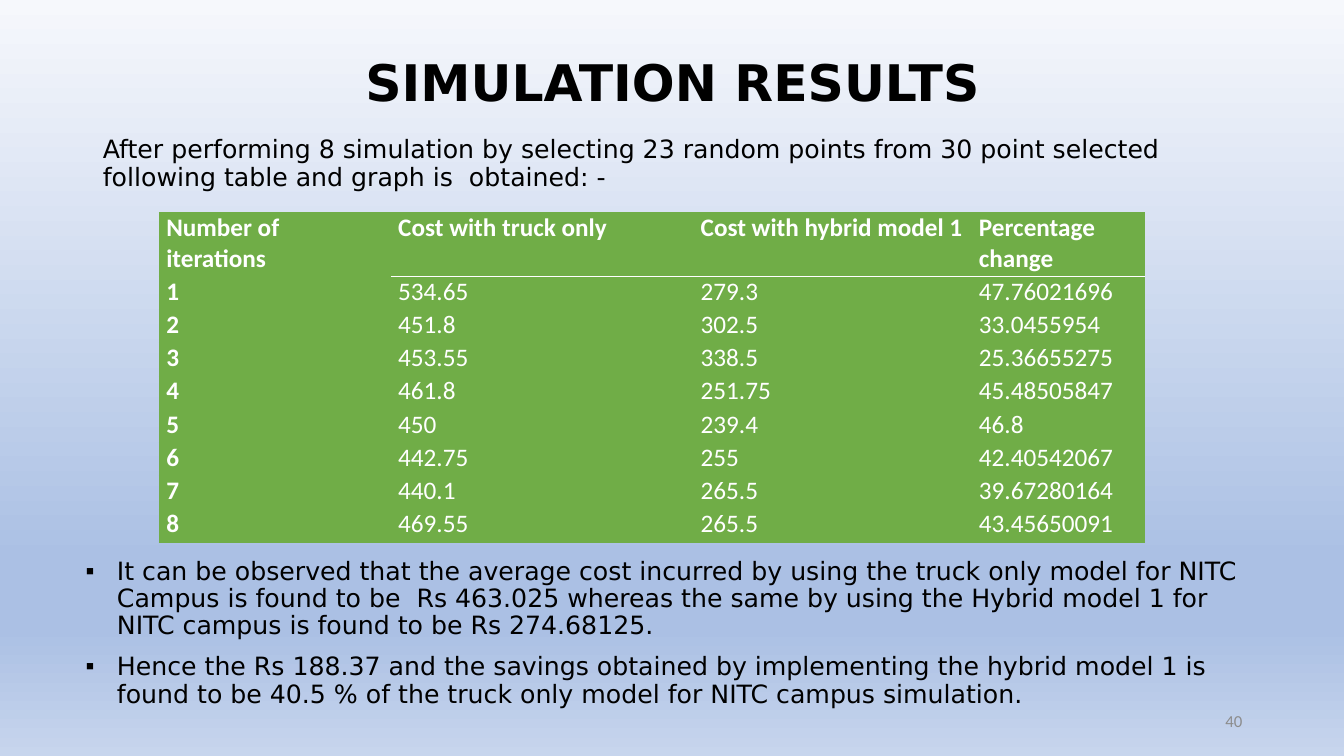
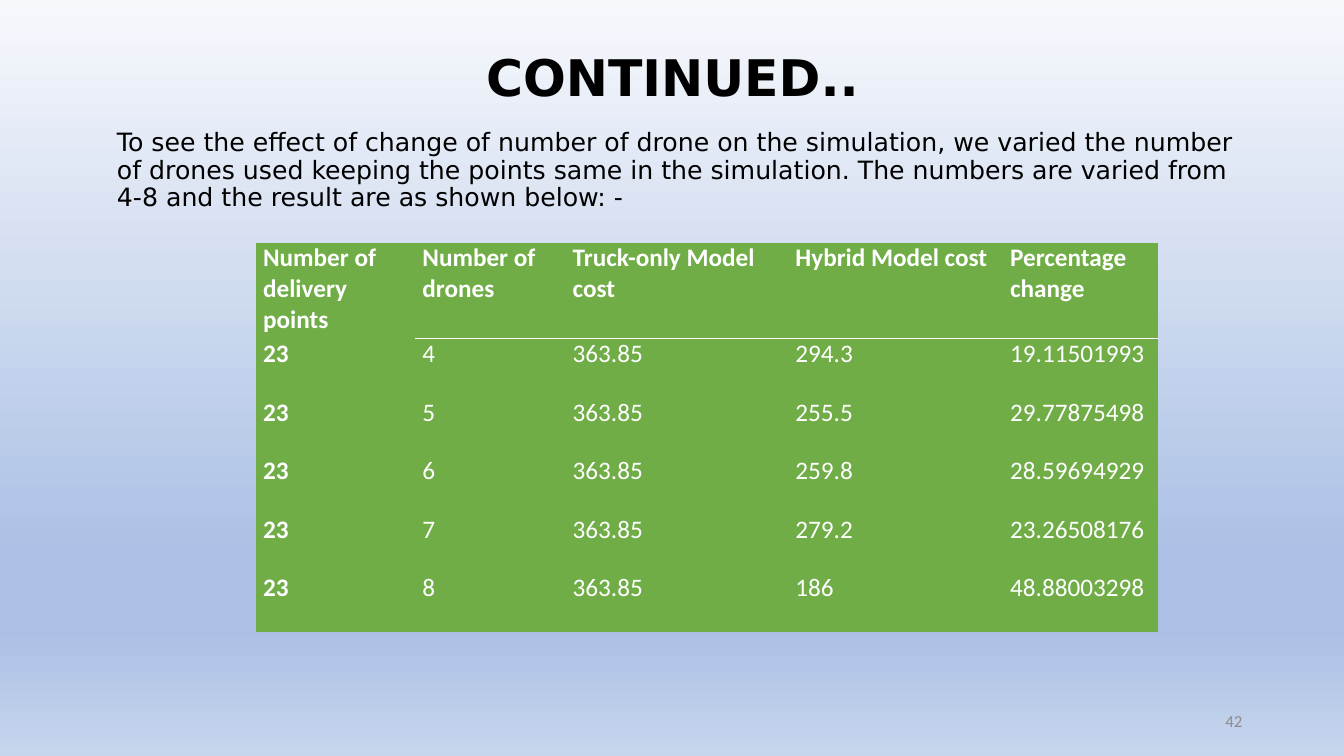
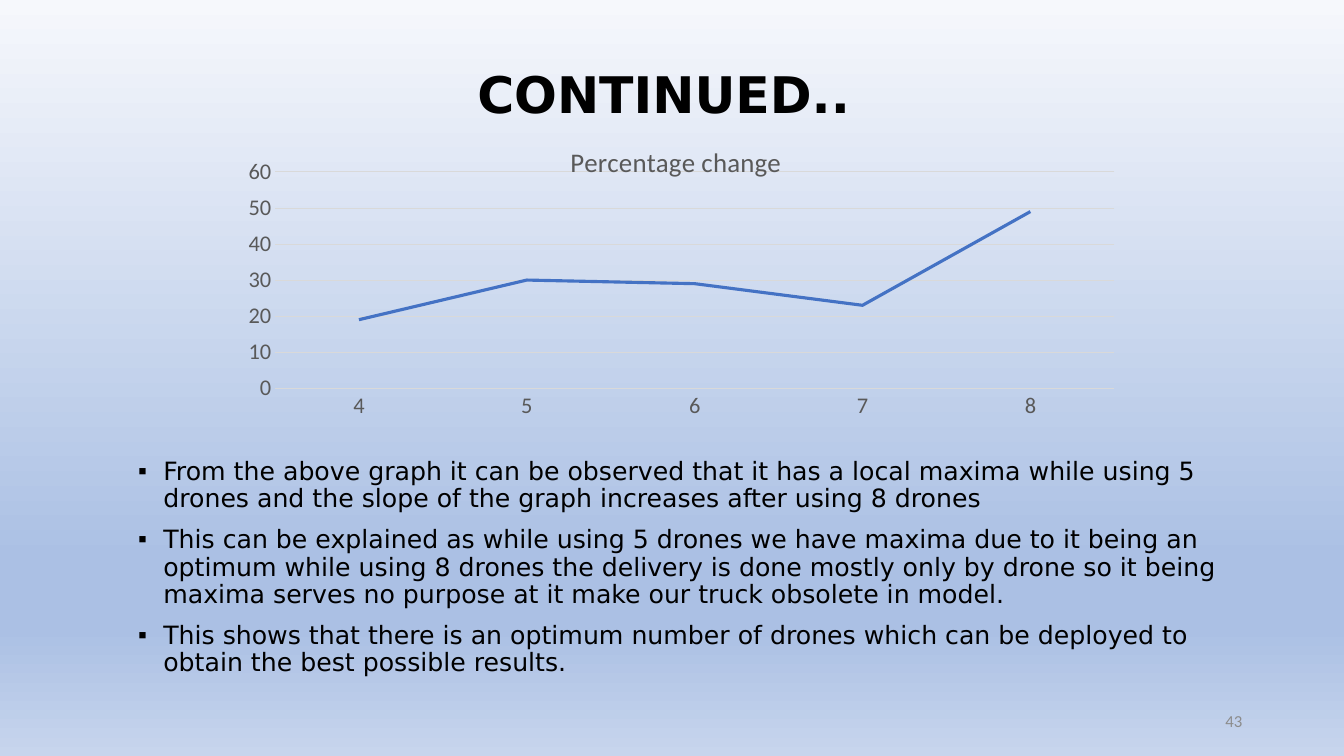
import lxml.etree
import pptx
import pptx.chart.data
import pptx.dml.color
import pptx.enum.chart
import pptx.enum.text
import pptx.oxml.ns
import pptx.util

Inches = pptx.util.Inches
Pt = pptx.util.Pt
qn = pptx.oxml.ns.qn

COLOURS = {
    "text": "000000",
    "number": "8C8C8C",
    "table": "70AD47",
    "table_text": "FFFFFF",
    "series": "4472C4",
    "chart_text": "595959",
    "grid": "D9D9D9",
}
BACKGROUND_STOPS = [(0, "F6F8FC"), (74, "ABC0E4"), (83, "ABC0E4"), (100, "C7D5ED")]
TEXT_FONT = "DejaVu Sans"
DATA_FONT = "Calibri"
ONE_CONTENT, TWO_CONTENTS = 1, 3


def rgb(name):
    return pptx.dml.color.RGBColor.from_string(COLOURS[name])


def add_element(parent, tag, **attributes):
    return lxml.etree.SubElement(parent, qn(tag), attributes)


class Deck:
    def __init__(self):
        self.presentation = pptx.Presentation()
        self.presentation.slide_width = Inches(13.33)
        self.presentation.slide_height = Inches(7.5)
        self.slide = None
        self.style_background()

    def style_background(self):
        master = self.presentation.slide_master
        fill = master.background.fill
        fill.gradient()
        fill.gradient_angle = 270
        stops = next(master.element.iter(qn("a:gsLst")))
        for stop in list(stops):
            stops.remove(stop)
        for percent, colour in BACKGROUND_STOPS:
            stop = add_element(stops, "a:gs", pos=str(percent * 1000))
            add_element(stop, "a:srgbClr", val=colour)

    def style_font(self, font, size, colour, name=DATA_FONT, bold=False):
        font.size = Pt(size)
        font.name = name
        font.bold = bold
        font.color.rgb = rgb(colour)

    def add_run(self, paragraph, text, *style, **options):
        run = paragraph.add_run()
        run.text = text
        self.style_font(run.font, *style, **options)

    def place(self, shape, left, top, width, height):
        shape.left, shape.top = Inches(left), Inches(top)
        shape.width, shape.height = Inches(width), Inches(height)
        shape.text_frame.word_wrap = True
        shape.text_frame.auto_size = pptx.enum.text.MSO_AUTO_SIZE.NONE

    def add_slide(self, title, title_height, number, layout=ONE_CONTENT):
        layouts = self.presentation.slide_layouts
        self.slide = self.presentation.slides.add_slide(layouts[layout])
        shape = self.slide.shapes.title
        self.place(shape, 0.92, 0.4, 11.5, title_height)
        shape.text_frame.vertical_anchor = pptx.enum.text.MSO_ANCHOR.MIDDLE
        paragraph = shape.text_frame.paragraphs[0]
        paragraph.alignment = pptx.enum.text.PP_ALIGN.CENTER
        paragraph.line_spacing = 0.9
        self.add_run(paragraph, title, 36, "text", name=TEXT_FONT, bold=True)
        self.add_number(number)

    def add_number(self, number):
        box = (9.42, 6.95, 3, 0.4)
        shape = self.slide.shapes.add_textbox(*map(Inches, box))
        self.place(shape, *box)
        shape.text_frame.vertical_anchor = pptx.enum.text.MSO_ANCHOR.MIDDLE
        paragraph = shape.text_frame.paragraphs[0]
        paragraph.alignment = pptx.enum.text.PP_ALIGN.RIGHT
        self.add_run(paragraph, str(number), 12, "number")

    def fill_body(self, box, texts, indent=0, placeholder=1):
        shape = self.slide.placeholders[placeholder]
        self.place(shape, *box)
        frame = shape.text_frame
        for index, text in enumerate(texts):
            paragraph = frame.add_paragraph() if index else frame.paragraphs[0]
            properties = paragraph._p.get_or_add_pPr()
            properties.set("marL", str(Inches(indent)))
            properties.set("indent", str(-Inches(indent)))
            if indent:
                add_element(properties, "a:buChar", char="▪")
            else:
                add_element(properties, "a:buNone")
            paragraph.line_spacing = 0.9
            paragraph.space_before = Pt(10 if index else 0)
            self.add_run(paragraph, text, 18, "text", name=TEXT_FONT)

    def set_border(self, cell, position, side, colour, width):
        line = lxml.etree.Element(qn("a:ln" + side), {"w": str(Pt(width))})
        fill = add_element(line, "a:solidFill")
        add_element(fill, "a:srgbClr", val=COLOURS[colour])
        cell._tc.get_or_add_tcPr().insert(position, line)

    def add_table(self, left, top, widths, heights, rows):
        frame = self.slide.shapes.add_table(
            len(rows), len(widths), Inches(left), Inches(top),
            Inches(sum(widths)), Inches(sum(heights)))
        table = frame.table
        table.horz_banding = False
        for column, width in zip(table.columns, widths):
            column.width = Inches(width)
        for row, height in zip(table.rows, heights):
            row.height = Inches(height)
        for row_index, values in enumerate(rows):
            for column_index, value in enumerate(values):
                self.fill_cell(table, row_index, column_index, value)

    def fill_cell(self, table, row, column, value):
        cell = table.cell(row, column)
        cell.margin_left = cell.margin_right = Inches(0.07)
        cell.margin_top = cell.margin_bottom = 0
        cell.fill.solid()
        cell.fill.fore_color.rgb = rgb("table")
        for position, side in enumerate("LRTB"):
            ruled = column > 0 and (row, side) in ((0, "B"), (1, "T"))
            style = ("table_text", 1) if ruled else ("table", 0.5)
            self.set_border(cell, position, side, *style)
        self.add_run(cell.text_frame.paragraphs[0], value, 18, "table_text",
                     bold=row == 0 or column == 0)

    def add_line_chart(self, box, title, categories, values, layout):
        data = pptx.chart.data.CategoryChartData()
        data.categories = categories
        data.add_series(title, values)
        chart = self.slide.shapes.add_chart(
            pptx.enum.chart.XL_CHART_TYPE.LINE, *map(Inches, box), data).chart
        chart.has_legend = False
        self.style_font(chart.font, 16, "chart_text")
        chart.has_title = True
        self.add_run(chart.chart_title.text_frame.paragraphs[0],
                     title, 19.2, "chart_text")
        chart.plots[0].vary_by_categories = False
        series = chart.plots[0].series[0]
        series.smooth = False
        series.format.line.width = Pt(2.25)
        series.format.line.color.rgb = rgb("series")
        for axis in (chart.category_axis, chart.value_axis):
            axis.major_tick_mark = pptx.enum.chart.XL_TICK_MARK.NONE
            axis.minor_tick_mark = pptx.enum.chart.XL_TICK_MARK.NONE
            self.style_font(axis.tick_labels.font, 16, "chart_text")
        value_axis = chart.value_axis
        value_axis.minimum_scale = 0
        value_axis.maximum_scale = 60
        value_axis.major_unit = 10
        value_axis.has_major_gridlines = True
        value_axis.format.line.fill.background()
        for line in (chart.category_axis.format.line,
                     value_axis.major_gridlines.format.line):
            line.width = Pt(0.75)
            line.color.rgb = rgb("grid")
        self.set_plot_layout(chart, layout)

    def set_plot_layout(self, chart, layout):
        plot_area = next(chart._chartSpace.iter(qn("c:plotArea")))
        for element in plot_area.findall(qn("c:layout")):
            plot_area.remove(element)
        element = lxml.etree.Element(qn("c:layout"))
        plot_area.insert(0, element)
        manual = add_element(element, "c:manualLayout")
        add_element(manual, "c:layoutTarget", val="inner")
        for tag in ("c:xMode", "c:yMode"):
            add_element(manual, tag, val="edge")
        for tag, value in zip(("c:x", "c:y", "c:w", "c:h"), layout):
            add_element(manual, tag, val=str(value))


def build_simulation_results(deck):
    deck.add_slide("SIMULATION RESULTS", 0.89, 40, TWO_CONTENTS)
    deck.fill_body((0.92, 1.31, 11.5, 5.11), [
        "After performing 8 simulation by selecting 23 random points from 30 "
        "point selected following table and graph is  obtained: -",
    ])
    costs = [
        ("534.65", "279.3", "47.76021696"),
        ("451.8", "302.5", "33.0455954"),
        ("453.55", "338.5", "25.36655275"),
        ("461.8", "251.75", "45.48505847"),
        ("450", "239.4", "46.8"),
        ("442.75", "255", "42.40542067"),
        ("440.1", "265.5", "39.67280164"),
        ("469.55", "265.5", "43.45650091"),
    ]
    header = ("Number of iterations", "Cost with truck only",
              "Cost with hybrid model 1", "Percentage change")
    rows = [header] + [(str(number), *cost) for number, cost in enumerate(costs, 1)]
    deck.add_table(1.58, 2.11, [2.3, 3, 2.76, 1.71],
                   [0.63] + [0.33] * len(costs), rows)
    deck.fill_body((0.75, 5.49, 11.84, 1.91), [
        "It can be observed that the average cost incurred by using the truck "
        "only model for NITC Campus is found to be  Rs 463.025 whereas the same "
        "by using the Hybrid model 1 for NITC campus is found to be Rs 274.68125.",
        "Hence the Rs 188.37 and the savings obtained by implementing the hybrid "
        "model 1 is found to be 40.5 % of the truck only model for NITC campus "
        "simulation.",
    ], indent=0.31, placeholder=2)


def build_drone_table(deck):
    deck.add_slide("CONTINUED..", 0.8, 42)
    deck.fill_body((1.06, 1.24, 11.5, 4.76), [
        "To see the effect of change of number of drone on the simulation, we "
        "varied the number of drones used keeping the points same in the "
        "simulation. The numbers are varied from 4-8 and the result are as shown "
        "below: -",
    ])
    results = [
        ("294.3", "19.11501993"),
        ("255.5", "29.77875498"),
        ("259.8", "28.59694929"),
        ("279.2", "23.26508176"),
        ("186", "48.88003298"),
    ]
    header = ("Number of delivery points", "Number of drones",
              "Truck-only Model cost", "Hybrid Model cost", "Percentage change")
    rows = [header] + [("23", str(drones), "363.85", *result)
                       for drones, result in enumerate(results, 4)]
    deck.add_table(2.54, 2.41, [1.58, 1.49, 2.21, 2.13, 1.53],
                   [0.95] + [0.58] * len(results), rows)


def build_drone_chart(deck):
    deck.add_slide("CONTINUED.. ", 1.12, 43)
    deck.add_line_chart((2.08, 1.26, 9.25, 2.98), "Percentage change",
                        ["4", "5", "6", "7", "8"], [19, 30, 29, 23, 49],
                        (0.07, 0.15, 0.9, 0.72))
    deck.fill_body((1.27, 4.5, 11.32, 2.65), [
        "From the above graph it can be observed that it has a local maxima while "
        "using 5 drones and the slope of the graph increases after using 8 drones",
        "This can be explained as while using 5 drones we have maxima due to it "
        "being an optimum while using 8 drones the delivery is done mostly only by "
        "drone so it being maxima serves no purpose at it make our truck obsolete "
        "in model.",
        "This shows that there is an optimum number of drones which can be "
        "deployed to obtain the best possible results.",
    ], indent=0.25)


def main():
    deck = Deck()
    build_simulation_results(deck)
    build_drone_table(deck)
    build_drone_chart(deck)
    deck.presentation.save("out.pptx")


if __name__ == "__main__":
    main()
